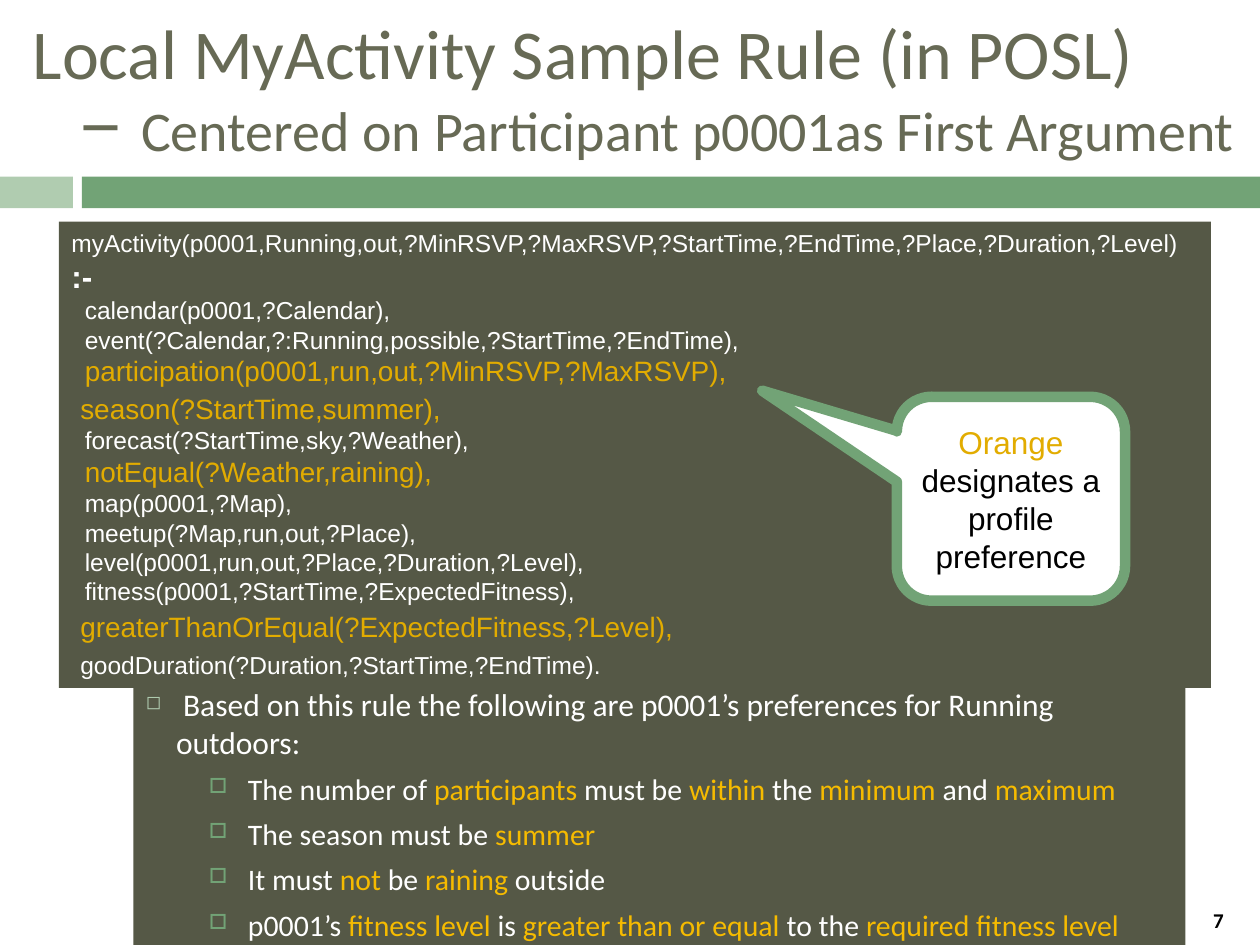
from dataclasses import dataclass, field
from typing import Any, NamedTuple

from lxml.etree import SubElement
from pptx import Presentation
from pptx.dml.color import RGBColor
from pptx.enum.shapes import MSO_SHAPE
from pptx.enum.text import MSO_ANCHOR, PP_ALIGN
from pptx.oxml.ns import qn
from pptx.util import Cm, Pt


@dataclass(frozen=True)
class Theme:
    """Colours, fonts and type sizes of the slide."""
    sage: str = "B0CCB0"
    green: str = "72A376"
    olive: str = "555846"
    heading: str = "676A55"
    orange: str = "E2AC00"
    amber: str = "F6BB00"
    white: str = "FFFFFF"
    black: str = "000000"
    code_font: str = "Arial"
    text_font: str = "Calibri"
    title: float = 40
    subtitle: float = 32
    lead: float = 18
    item: float = 17
    stressed: float = 16
    code: float = 14
    number: float = 12


T = Theme()


class Box(NamedTuple):
    """Left, top, width and height in centimetres."""
    x: float
    y: float
    w: float
    h: float


class Bullet(NamedTuple):
    """Bullet sign, colour and size in percent."""
    char: str
    color: str
    percent: int


class Run(NamedTuple):
    """A piece of text in one format."""
    text: str
    size: float
    color: str
    font: str = T.code_font
    bold: bool = False


@dataclass
class Para:
    """A paragraph with indents in centimetres."""
    runs: list[Run]
    margin: float = 0
    indent: float = 0
    bullet: Bullet | None = None
    fmt: dict[str, Any] = field(default_factory=dict)


def set_attrs(target: Any, values: dict[str, Any]) -> None:
    """Set each named attribute on the target."""
    for name, value in values.items():
        setattr(target, name, value)


def add_bullet(p: Any, bullet: Bullet) -> None:
    """Give a paragraph its bullet."""
    pPr = p._p.get_or_add_pPr()
    clr = SubElement(pPr, qn("a:buClr"))
    SubElement(clr, qn("a:srgbClr"), val=bullet.color)
    SubElement(pPr, qn("a:buSzPct"), val=str(bullet.percent * 1000))
    SubElement(pPr, qn("a:buChar"), char=bullet.char)


def write(sp: Any, paras: list[Para], anchor: Any = MSO_ANCHOR.TOP) -> None:
    """Write paragraphs into a shape."""
    tf = sp.text_frame
    set_attrs(tf, {"word_wrap": True, "vertical_anchor": anchor})
    for i, para in enumerate(paras):
        p = tf.add_paragraph() if i else tf.paragraphs[0]
        set_attrs(p, {"alignment": PP_ALIGN.LEFT, **para.fmt})
        pPr = p._p.get_or_add_pPr()
        pPr.set("marL", str(Cm(para.margin)))
        pPr.set("indent", str(Cm(para.indent)))
        if para.bullet:
            add_bullet(p, para.bullet)
        for run in para.runs:
            for j, line in enumerate(run.text.split("\n")):
                if j:
                    p.add_line_break()
                if line:
                    r = p.add_run()
                    r.text = line
                    set_attrs(r.font, {"size": Pt(run.size), "name": run.font, "bold": run.bold})
                    r.font.color.rgb = RGBColor.from_string(run.color)


def add_panel(s: Any, box: Box, fill: str, kind: Any = MSO_SHAPE.RECTANGLE) -> Any:
    """Add a filled shape without a line or shadow."""
    sp = s.shapes.add_shape(kind, *map(Cm, box))
    sp.shadow.inherit = False
    sp.fill.solid()
    sp.fill.fore_color.rgb = RGBColor.from_string(fill)
    sp.line.fill.background()
    return sp


def add_text(s: Any, box: Box, paras: list[Para]) -> None:
    """Add a text box centred vertically."""
    write(s.shapes.add_textbox(*map(Cm, box)), paras, MSO_ANCHOR.MIDDLE)


def code_line(text: str, size: float = T.code, margin: float = 0.27,
              before: float = 0, bold: bool = False) -> Para:
    """Make a line of the rule; stressed lines are orange."""
    color = T.orange if size == T.stressed else T.white
    return Para([Run(text, size, color, bold=bold)], margin, fmt={"space_before": Pt(before)})


def preference(text: str) -> Para:
    """Make a list item in which text between asterisks is amber."""
    runs = [Run(part, T.item, T.amber if i % 2 else T.white, T.text_font)
            for i, part in enumerate(text.split("*")) if part]
    return Para(runs, 2.06, -0.79, Bullet("□", T.green, 70), {"space_before": Pt(5.5)})


RULE = [
    code_line("myActivity(p0001,Running,out,?MinRSVP,?MaxRSVP,?StartTime,?EndTime,"
              "?Place,?Duration,?Level)", margin=0),
    code_line(":-", T.lead, 0, bold=True),
    code_line("calendar(p0001,?Calendar),"),
    code_line("event(?Calendar,?:Running,possible,?StartTime,?EndTime),"),
    code_line("participation(p0001,run,out,?MinRSVP,?MaxRSVP),", T.stressed),
    code_line("season(?StartTime,summer),", T.stressed, 0.18, 2.3),
    code_line("forecast(?StartTime,sky,?Weather),"),
    code_line("notEqual(?Weather,raining),", T.stressed),
    code_line("map(p0001,?Map),"),
    code_line("meetup(?Map,run,out,?Place),"),
    code_line("level(p0001,run,out,?Place,?Duration,?Level),"),
    code_line("fitness(p0001,?StartTime,?ExpectedFitness),"),
    code_line("greaterThanOrEqual(?ExpectedFitness,?Level),", T.stressed, 0.18, 2.3),
    code_line("goodDuration(?Duration,?StartTime,?EndTime).", margin=0.18, before=4),
]

PREFERENCES = [
    Para([Run(" Based on this rule the following are p0001’s preferences for Running outdoors:",
              T.lead, T.white, T.text_font)],
         0.61, -0.61, Bullet("◻", T.sage, 60), {"space_before": Pt(7)}),
    *map(preference, [
        "The number of *participants* must be *within* the *minimum* and *maximum*",
        "The season must be *summer*",
        "It must *not* be *raining* outside",
        "p0001’s *fitness level* is *greater than or equal *to the *required fitness level*",
    ]),
]

TITLE = [Para([
    Run("Local MyActivity Sample Rule (in POSL)\n", T.title, T.heading, T.text_font),
    Run("− ", T.title, T.heading),
    Run("Centered on Participant p0001as First Argument", T.subtitle, T.heading, T.text_font),
], 0.97, -0.97, fmt={"line_spacing": 0.85})]

CENTER = {"alignment": PP_ALIGN.CENTER}
NOTE = [
    Para([Run("Orange ", T.lead, T.orange), Run("designates a profile", T.lead, T.black)],
         fmt=CENTER),
    Para([Run("preference", T.lead, T.black)], fmt=CENTER),
]
NUMBER = [Para([Run("7", T.number, T.black, T.text_font, True)],
               fmt={**CENTER, "line_spacing": 0.8})]


def add_callout(s: Any) -> None:
    """Add the note that explains the orange lines."""
    sp = add_panel(s, Box(18.08, 8, 4.6, 4.11), T.white, MSO_SHAPE.ROUNDED_RECTANGULAR_CALLOUT)
    for i, value in enumerate((-1.09, -0.53, 0.17)):
        sp.adjustments[i] = value
    sp.line.color.rgb = RGBColor.from_string(T.green)
    sp.line.width = Pt(6)
    write(sp, NOTE, MSO_ANCHOR.MIDDLE)


def main() -> None:
    """Build and save the slide."""
    prs = Presentation()
    set_attrs(prs, {"slide_width": Cm(25.4), "slide_height": Cm(19.05)})
    s = prs.slides.add_slide(prs.slide_layouts[6])
    add_panel(s, Box(0, 3.56, 1.47, 0.64), T.sage)
    add_panel(s, Box(1.65, 3.56, 23.75, 0.64), T.green)
    add_text(s, Box(0.41, 0.53, 24.89, 2.74), TITLE)
    write(add_panel(s, Box(1.19, 4.47, 23.22, 9.4), T.olive), RULE)
    add_text(s, Box(23.83, 18.26, 1.47, 0.69), NUMBER)
    write(add_panel(s, Box(2.69, 13.69, 21.21, 6.88), T.olive), PREFERENCES)
    add_callout(s)
    prs.save("out.pptx")


main()
